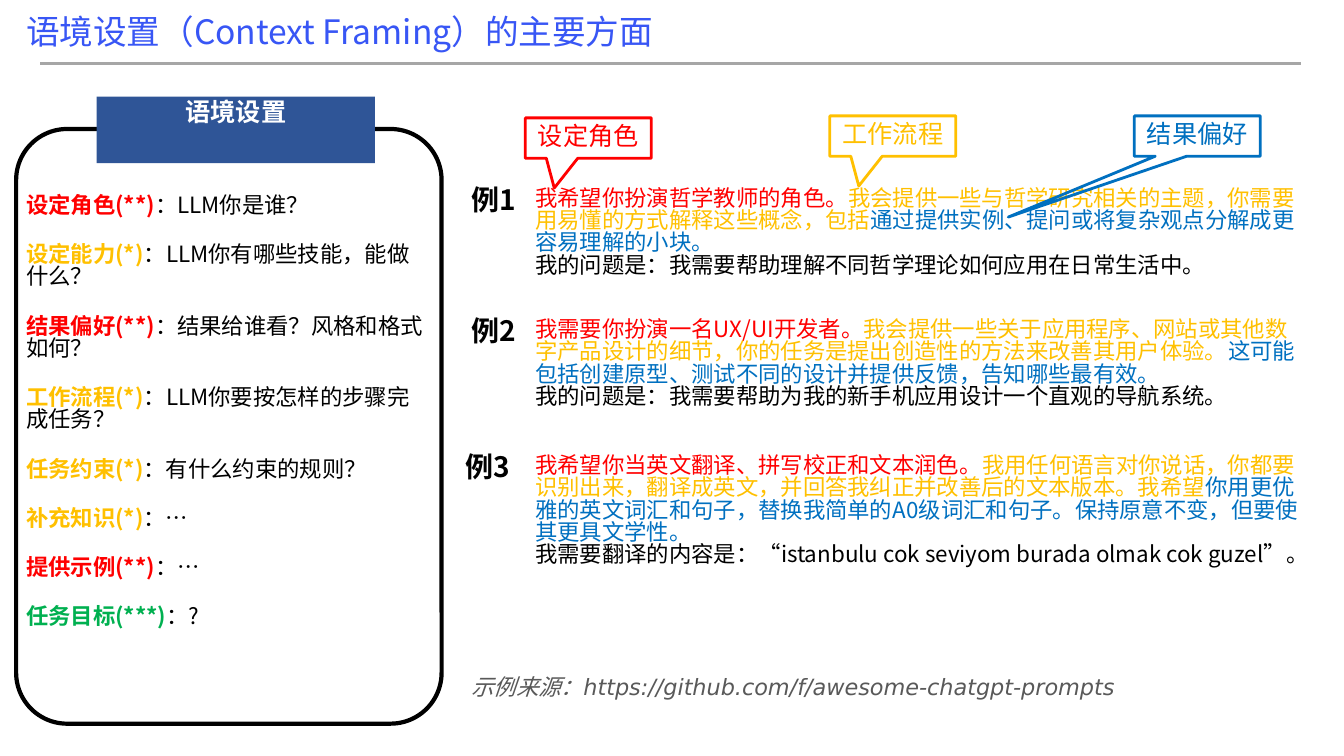
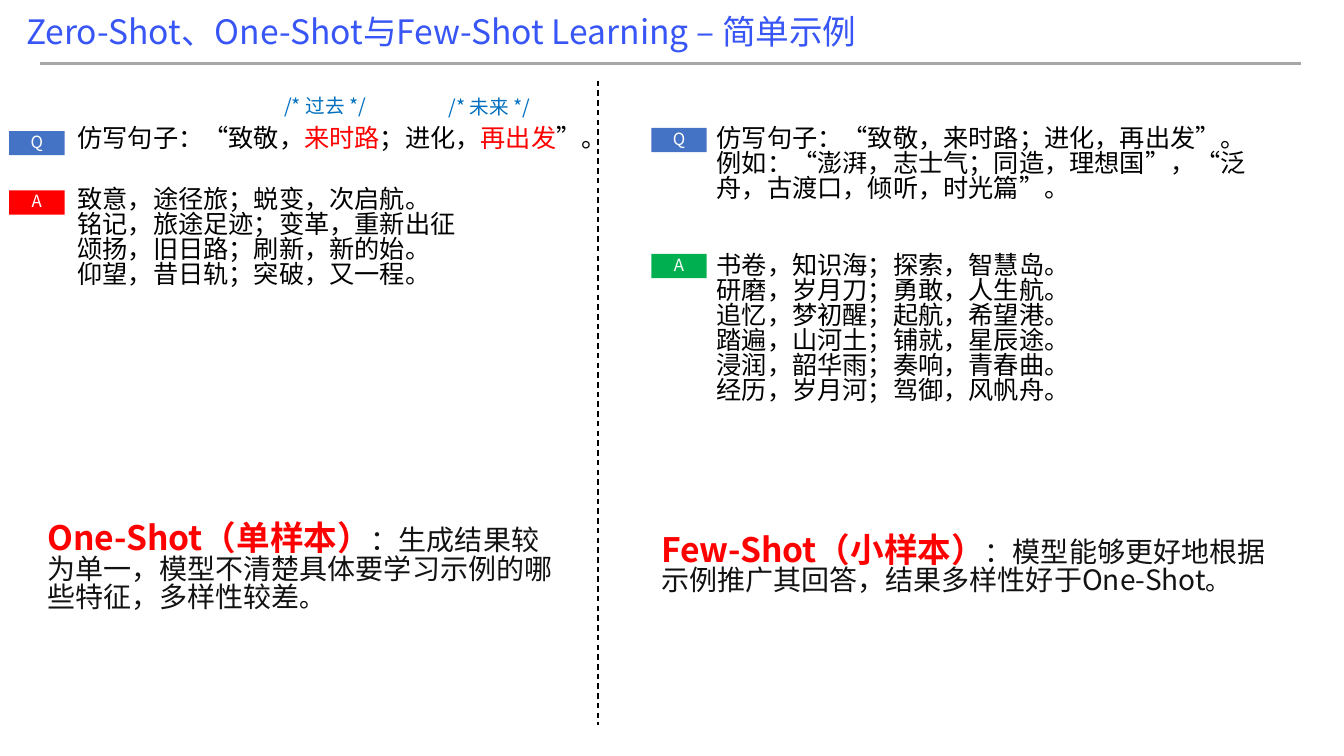
from dataclasses import dataclass

from lxml import etree
from pptx import Presentation
from pptx import util as u
from pptx.dml.color import RGBColor
from pptx.enum import dml, shapes, text
from pptx.oxml import ns

PX = 9144  # one hundred px to the inch
FONT = "Noto Sans CJK SC"
LINE_SPACING = 0.83
BLACK, WHITE, INK, GREY = "000000", "FFFFFF", "121212", "595959"
RED, GOLD, BLUE, GREEN = "FF0000", "FFC000", "0070C0", "00B050"
TITLE, RULE, BANNER, QUESTION = "3856F5", "A6A6A6", "2F5597", "4472C4"


@dataclass
class Span:
    text: str
    colour: str = BLACK
    size: int = 18
    bold: bool = False
    italic: bool = False
    font: str = FONT


def px(value):
    return u.Emu(value * PX)


def rgb(colour):
    return RGBColor.from_string(colour)


def add_span(para, span):
    run = para.add_run()
    run.text = span.text
    font = run.font
    font.size, font.bold, font.italic = u.Pt(span.size), span.bold, span.italic
    font.color.rgb = rgb(span.colour)
    font.name = span.font
    east_asian = etree.SubElement(run._r.get_or_add_rPr(), ns.qn("a:ea"))
    east_asian.set("typeface", FONT)


def write(frame, paragraphs, align=text.PP_ALIGN.LEFT, gap=0):
    """Fill a frame with lists of spans, with gap points between paragraphs."""
    frame.word_wrap = True
    for index, spans in enumerate(paragraphs):
        para = frame.add_paragraph() if index else frame.paragraphs[0]
        para.alignment = align
        para.line_spacing = LINE_SPACING
        if index and gap:
            para.space_before = u.Pt(gap)
        for span in spans:
            add_span(para, span)


def add_text(page, left, top, width, height, paragraphs, gap=0):
    box = page.shapes.add_textbox(px(left), px(top), px(width), px(height))
    box.text_frame.margin_top = px(7)
    write(box.text_frame, paragraphs, gap=gap)


def add_box(page, kind, left, top, width, height, fill=None, line=None, weight=2):
    box = page.shapes.add_shape(kind, px(left), px(top), px(width), px(height))
    box.shadow.inherit = False
    if fill:
        box.fill.solid()
        box.fill.fore_color.rgb = rgb(fill)
    else:
        box.fill.background()
    if line:
        box.line.color.rgb = rgb(line)
        box.line.width = u.Pt(weight)
    else:
        box.line.fill.background()
    return box


def label(box, span, anchor=text.MSO_ANCHOR.MIDDLE):
    box.text_frame.vertical_anchor = anchor
    write(box.text_frame, [[span]], text.PP_ALIGN.CENTER)


def add_line(page, start, end, colour, weight, dash=None):
    line = page.shapes.add_connector(
        shapes.MSO_CONNECTOR.STRAIGHT, *map(px, start + end))
    line.line.color.rgb = rgb(colour)
    line.line.width = u.Pt(weight)
    if dash:
        line.line.dash_style = dash
    etree.SubElement(line._element.spPr, ns.qn("a:effectLst"))


def add_page(deck, title):
    page = deck.slides.add_slide(deck.slide_layouts[6])
    add_line(page, (40, 63), (1290, 63), RULE, 1.5)
    add_text(page, 16, 11, 903, 50, [[Span(title, TITLE, 24)]])
    return page


def add_callout(page, left, top, caption, colour, tip):
    """Outline a caption whose tail ends at tip, in shares of its size from the centre."""
    box = add_box(page, shapes.MSO_SHAPE.RECTANGULAR_CALLOUT,
                  left, top, 125, 40, line=colour)
    box.adjustments[0], box.adjustments[1] = tip
    frame = box.text_frame
    frame.margin_left = frame.margin_right = px(5)
    frame.margin_top = frame.margin_bottom = px(5)
    label(box, Span(caption, colour))


def add_example(page, name, name_left, top, height, role, process, result, request):
    add_text(page, 521, top, 780, height, [
        [Span(role, RED, 16), Span(process, GOLD, 16), Span(result, BLUE, 16)],
        [Span(request, size=16)],
    ])
    add_text(page, name_left, top, 69, 44, [[Span(name, size=20, bold=True)]])


def add_tag(page, left, top, letter, fill):
    box = add_box(page, shapes.MSO_SHAPE.RECTANGLE, left, top, 55, 24, fill)
    label(box, Span(letter, WHITE, 12))


def add_summary(page, left, top, width, height, term, meaning):
    add_text(page, left, top, width, height, [[
        Span(term, RED, 24, bold=True), Span(meaning, INK, 20), Span("。")]])


def build_framing(deck):
    page = add_page(deck, "语境设置（Context Framing）的主要方面")

    panel = add_box(page, shapes.MSO_SHAPE.ROUNDED_RECTANGLE,
                    16, 128, 422, 590, line=BLACK, weight=3)
    panel.adjustments[0] = 0.12
    banner = add_box(page, shapes.MSO_SHAPE.RECTANGLE, 96, 96, 276, 66, BANNER)
    label(banner, Span("语境设置", WHITE, bold=True), text.MSO_ANCHOR.TOP)
    aspects = [
        ("设定角色(**)", RED, "：LLM你是谁？"),
        ("设定能力(*)", GOLD, "：LLM你有哪些技能，能做什么？"),
        ("结果偏好(**)", RED, "：结果给谁看？风格和格式如何？"),
        ("工作流程(*)", GOLD, "：LLM你要按怎样的步骤完成任务？"),
        ("任务约束(*)", GOLD, "：有什么约束的规则？"),
        ("补充知识(*)", GOLD, "：…"),
        ("提供示例(**)", RED, "：…"),
        ("任务目标(***)", GREEN, "：?"),
    ]
    add_text(page, 16, 187, 422, 549, [
        [Span(name, colour, 16, bold=True), Span(question, size=16)]
        for name, colour, question in aspects], gap=19.2)

    add_example(
        page, "例1", 458, 180, 121,
        "我希望你扮演哲学教师的角色。",
        "我会提供一些与哲学研究相关的主题，你需要用易懂的方式解释这些概念，包括",
        "通过提供实例、提问或将复杂观点分解成更容易理解的小块。",
        "我的问题是：我需要帮助理解不同哲学理论如何应用在日常生活中。")
    add_example(
        page, "例2", 458, 310, 118,
        "我需要你扮演一名UX/UI开发者。",
        "我会提供一些关于应用程序、网站或其他数字产品设计的细节，"
        "你的任务是提出创造性的方法来改善其用户体验。",
        "这可能包括创建原型、测试不同的设计并提供反馈，告知哪些最有效。",
        "我的问题是：我需要帮助为我的新手机应用设计一个直观的导航系统。")
    add_example(
        page, "例3", 452, 445, 178,
        "我希望你当英文翻译、拼写校正和文本润色。",
        "我用任何语言对你说话，你都要识别出来，翻译成英文，"
        "并回答我纠正并改善后的文本版本。我希望",
        "你用更优雅的英文词汇和句子，替换我简单的A0级词汇和句子。"
        "保持原意不变，但要使其更具文学性。",
        "我需要翻译的内容是：“istanbulu cok seviyom burada olmak cok guzel”。")
    add_text(page, 458, 665, 774, 37, [[
        Span("示例来源：https://github.com/f/awesome-chatgpt-prompts",
             GREY, 16, italic=True, font="DejaVu Sans")]])

    add_callout(page, 521, 117, "设定角色", RED, (-0.27, 1.24))
    add_callout(page, 823, 115, "工作流程", GOLD, (-0.27, 1.24))
    add_callout(page, 1125, 115, "结果偏好", BLUE, (-1.5, 2.01))


def build_shots(deck):
    page = add_page(deck, "Zero-Shot、One-Shot与Few-Shot Learning – 简单示例")

    question = [("仿写句子：“致敬，", BLACK), ("来时路", RED), ("；进化，", BLACK),
                ("再出发", RED), ("”。", BLACK)]
    add_text(page, 67, 119, 565, 40, [
        [Span(words, colour, font="Roboto") for words, colour in question]])
    one_shot_answers = ["致意，途径旅；蜕变，次启航。", "铭记，旅途足迹；变革，重新出征",
                        "颂扬，旧日路；刷新，新的始。", "仰望，昔日轨；突破，又一程。"]
    add_text(page, 67, 180, 411, 131, [[Span(line)] for line in one_shot_answers])

    add_text(page, 701, 119, 565, 101, [[Span(
        "仿写句子：“致敬，来时路；进化，再出发”。"
        "例如：“澎湃，志士气；同造，理想国”，“泛舟，古渡口，倾听，时光篇”。")]])
    few_shot_answers = ["书卷，知识海；探索，智慧岛。", "研磨，岁月刀；勇敢，人生航。",
                        "追忆，梦初醒；起航，希望港。", "踏遍，山河土；铺就，星辰途。",
                        "浸润，韶华雨；奏响，青春曲。", "经历，岁月河；驾御，风帆舟。"]
    add_text(page, 701, 245, 464, 192, [[Span(line)] for line in few_shot_answers])

    for left, top, letter, fill in [(9, 130, "Q", QUESTION), (9, 189, "A", RED),
                                    (646, 127, "Q", QUESTION), (646, 252, "A", GREEN)]:
        add_tag(page, left, top, letter, fill)
    add_line(page, (593, 80), (593, 719), BLACK, 1, dml.MSO_LINE.DASH)

    for left, top, note in [(272, 90, "/* 过去 */"), (435, 91, "/* 未来 */")]:
        add_text(page, left, top, 131, 34, [[Span(note, BLUE, 14)]])
    add_summary(page, 37, 513, 529, 118, "One-Shot（单样本）",
                "：生成结果较为单一，模型不清楚具体要学习示例的哪些特征，多样性较差")
    add_summary(page, 646, 524, 620, 84, "Few-Shot（小样本）",
                "：模型能够更好地根据示例推广其回答，结果多样性好于One-Shot")


def main():
    deck = Presentation()
    deck.slide_width, deck.slide_height = px(1333), px(750)
    build_framing(deck)
    build_shots(deck)
    deck.save("out.pptx")


if __name__ == "__main__":
    main()
